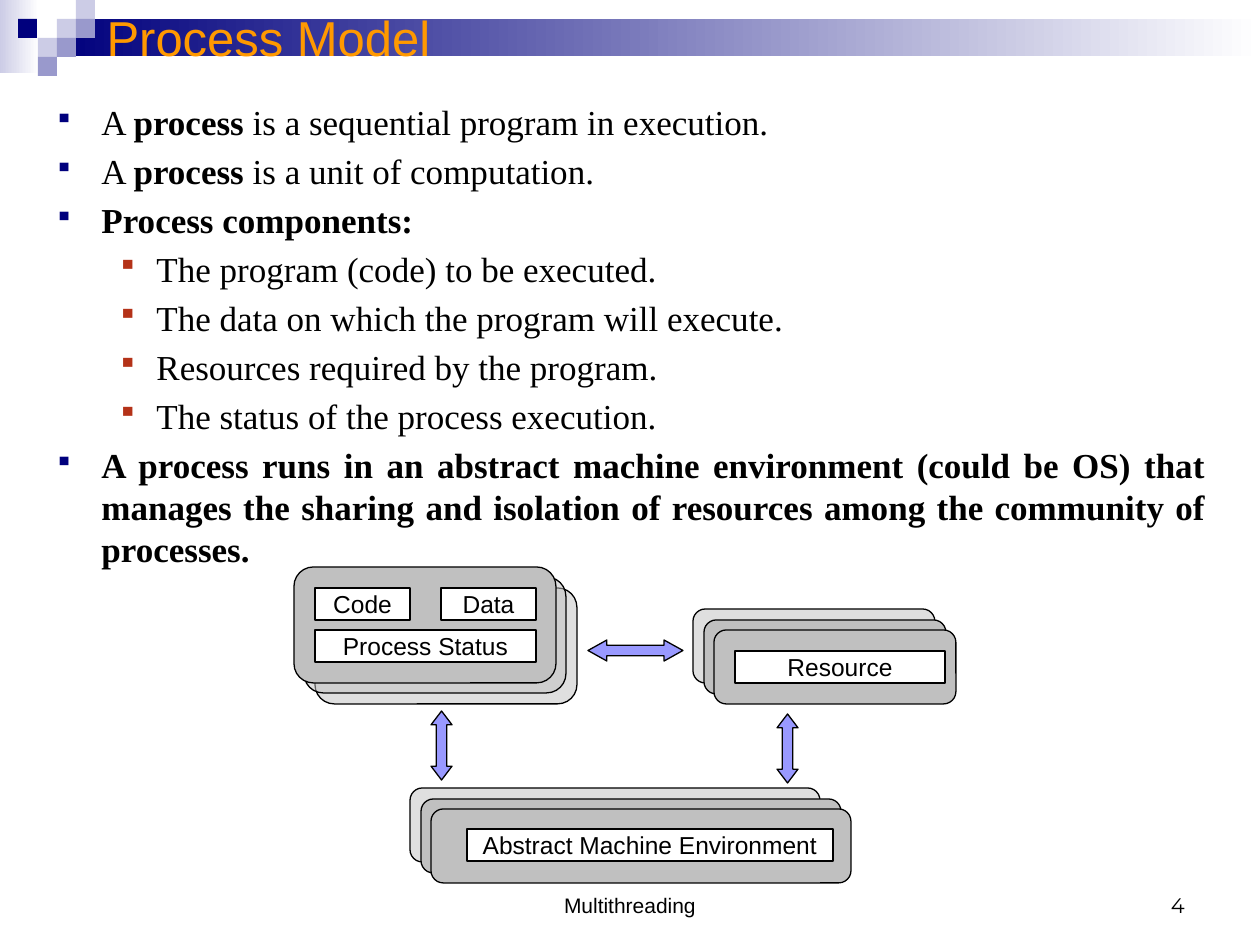
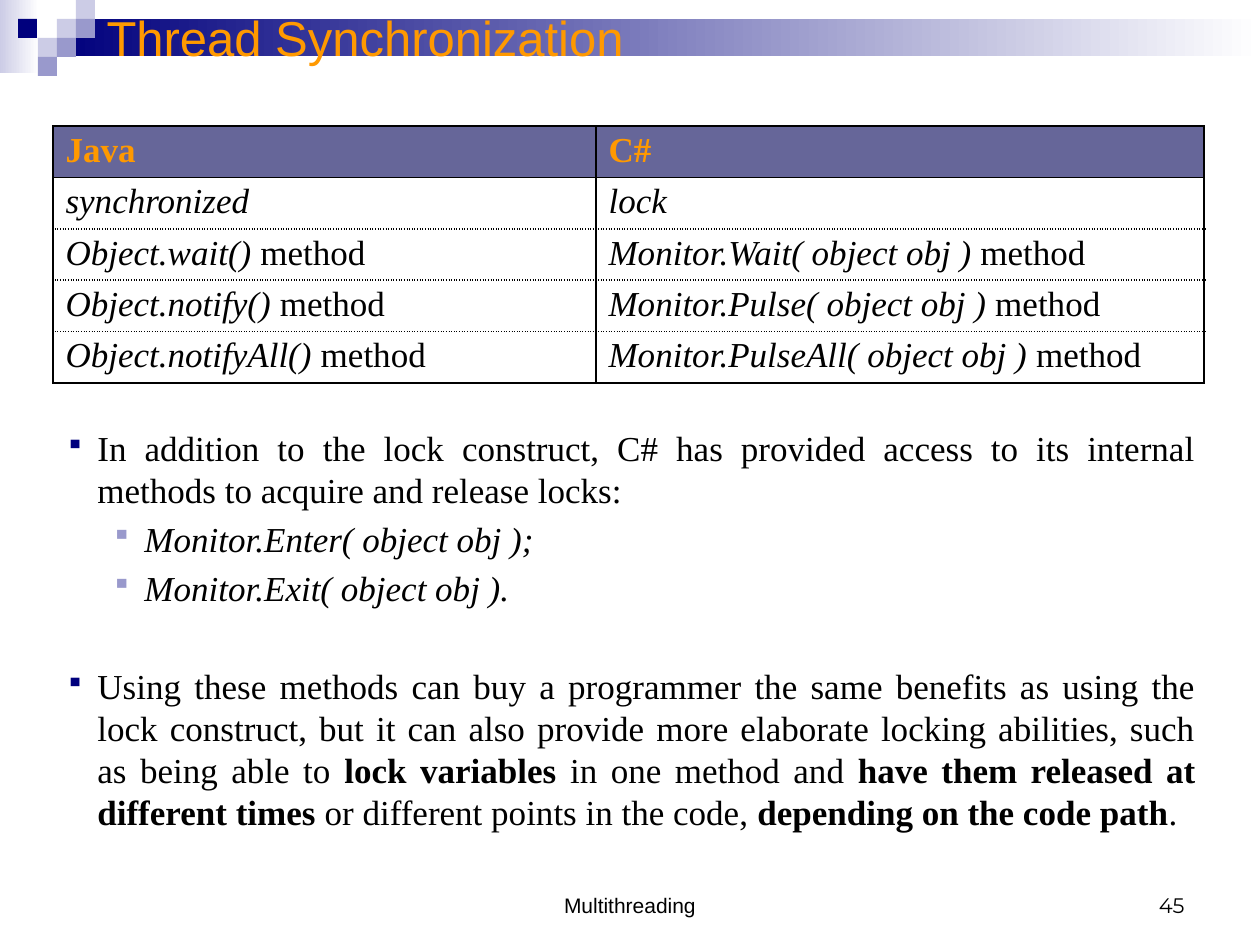
import pptx
import pptx.dml.color
import pptx.enum.dml
import pptx.enum.shapes
import pptx.enum.text
import pptx.oxml.ns
import pptx.util
from lxml import etree

RGB = pptx.dml.color.RGBColor
SHAPE = pptx.enum.shapes.MSO_SHAPE
ALIGN = pptx.enum.text.PP_ALIGN
ANCHOR = pptx.enum.text.MSO_ANCHOR
qn = pptx.oxml.ns.qn

BLACK = RGB(0x00, 0x00, 0x00)
WHITE = RGB(0xFF, 0xFF, 0xFF)
NAVY = RGB(0x00, 0x00, 0x7D)
LILAC = RGB(0x99, 0x99, 0xCC)
PALE = RGB(0xCC, 0xCC, 0xE6)
ORANGE = RGB(0xFF, 0x99, 0x00)
RUST = RGB(0xB4, 0x32, 0x18)
GREY = RGB(0xC0, 0xC0, 0xC0)
ARROW_BLUE = RGB(0x99, 0x99, 0xFF)
HEADER = RGB(0x66, 0x66, 0x99)

SANS, SERIF, NUMBERS = "Arial", "Times New Roman", "Montserrat"
BULLETS = {0: (NAVY, 75), 1: (RUST, 80)}
SQUARES = [(57, 19, PALE), (76, 0, PALE), (76, 19, LILAC), (38, 38, PALE),
           (18, 19, NAVY), (57, 38, LILAC), (38, 57, LILAC)]
BEHIND_RIGHT, BEHIND_LEFT = (21, 10, 0), (-21, -10, 0)


def px(n):
    """Turn pixels at 126 to the inch into EMU."""
    return pptx.util.Emu(round(n * 914400 / 126))


def emu(box):
    """Turn a box in pixels into EMU lengths."""
    return [px(n) for n in box]


def write(p, text, font=SERIF, size=20, color=BLACK, align=ALIGN.LEFT,
          bold=False, mark="bold"):
    """Write text in a paragraph, giving the parts between asterisks the mark style."""
    p.alignment = align
    for i, part in enumerate(text.split("*")):
        if part:
            r = p.add_run()
            r.text = part
            r.font.name, r.font.size = font, pptx.util.Pt(size)
            r.font.color.rgb = color
            r.font.bold, r.font.italic = bold, False
            if i % 2:
                setattr(r.font, mark, True)


def add_text(s, box, text, anchor=ANCHOR.BOTTOM, **fmt):
    """Add a one-paragraph text box."""
    tf = s.shapes.add_textbox(*emu(box)).text_frame
    tf.word_wrap, tf.vertical_anchor = True, anchor
    write(tf.paragraphs[0], text, **fmt)


def add_shape(s, kind, box, fill, outlined=True, adjustments=(), opacity=100):
    """Add a shape with a plain or two-colour fill."""
    sp = s.shapes.add_shape(kind, *emu(box))
    sp.shadow.inherit = False
    for i, value in enumerate(adjustments):
        sp.adjustments[i] = value
    if isinstance(fill, tuple) and not isinstance(fill, RGB):
        sp.fill.gradient()
        sp.fill.gradient_angle = 0
        for stop, color in zip(sp.fill.gradient_stops, fill):
            stop.color.rgb = color
    else:
        sp.fill.solid()
        sp.fill.fore_color.rgb = fill
    if opacity < 100:
        color = sp.element.find(".//" + qn("a:srgbClr"))
        etree.SubElement(color, qn("a:alpha"), val=str(opacity * 1000))
    if outlined:
        sp.line.color.rgb, sp.line.width = BLACK, pptx.util.Pt(0.75)
    else:
        sp.line.fill.background()
    return sp


def add_frame(prs, title, number):
    """Add a slide with its bands, squares, title and footer."""
    s = prs.slides.add_slide(prs.slide_layouts[5])
    add_shape(s, SHAPE.RECTANGLE, (0, 0, 39, 73), (PALE, WHITE), False)
    add_shape(s, SHAPE.RECTANGLE, (57, 19, 1203, 37), (NAVY, WHITE), False)
    for x, y, color in SQUARES:
        add_shape(s, SHAPE.RECTANGLE, (x, y, 19, 19), color, False)
    add_text(s, (430, 861, 400, 63), "Multithreading",
             font=SANS, size=12, align=ALIGN.CENTER)
    add_text(s, (903, 861, 294, 63), number,
             font=NUMBERS, size=12, align=ALIGN.RIGHT)
    sp = s.shapes.title
    sp.left, sp.top, sp.width, sp.height = emu((94, 10, 1071, 53))
    tf = sp.text_frame
    tf.word_wrap, tf.vertical_anchor = True, ANCHOR.MIDDLE
    tf.auto_size = pptx.enum.text.MSO_AUTO_SIZE.NONE
    write(tf.paragraphs[0], title, font=SANS, size=28, color=ORANGE)
    sp.element.getparent().append(sp.element)
    return s


def add_bullets(s, box, items, indents, bullets=BULLETS):
    """Add a justified bullet list of (level, text, mark, space before) items."""
    tf = s.shapes.add_textbox(*emu(box)).text_frame
    tf.word_wrap = True
    for i, (level, text, mark, space) in enumerate(items):
        p = tf.add_paragraph() if i else tf.paragraphs[0]
        p.level = level
        p.line_spacing = pptx.util.Pt(24)
        p.space_before = pptx.util.Pt(space)
        left, hang = indents[level]
        color, percent = bullets[level]
        pPr = p._p.get_or_add_pPr()
        pPr.set("marL", str(px(left)))
        pPr.set("indent", str(px(-hang)))
        tint = etree.SubElement(pPr, qn("a:buClr"))
        etree.SubElement(tint, qn("a:srgbClr"), val=str(color))
        etree.SubElement(pPr, qn("a:buSzPct"), val=str(percent * 1000))
        etree.SubElement(pPr, qn("a:buChar"), char="▪")
        write(p, text, align=ALIGN.JUSTIFY, mark=mark)


def add_stack(s, box, shifts, opacities, narrowing=0):
    """Add three rounded cards, back to front, the front one filling the box."""
    x, y, w, h = box
    for i, (shift, opacity) in enumerate(zip(shifts, opacities)):
        width = w if i else w - narrowing
        add_shape(s, SHAPE.ROUNDED_RECTANGLE, (x + shift, y + shift, width, h),
                  GREY, adjustments=[0.167], opacity=opacity)


def add_label(s, box, text):
    """Add a white label box."""
    tf = add_shape(s, SHAPE.RECTANGLE, box, WHITE).text_frame
    tf.word_wrap, tf.vertical_anchor = False, ANCHOR.MIDDLE
    tf.margin_top = tf.margin_bottom = 0
    write(tf.paragraphs[0], text, font=SANS, size=14, align=ALIGN.CENTER)


def add_process_diagram(s, left, top):
    """Draw processes, resources and their environment from a top left corner."""
    def at(x, y, w, h):
        """Place a box within the diagram."""
        return left + x, top + y, w, h

    add_stack(s, at(0, 0, 262, 116), BEHIND_RIGHT, (50, 50, 100))
    add_stack(s, at(420, 63, 242, 74), BEHIND_LEFT, (50, 100, 100))
    add_stack(s, at(137, 242, 420, 74), BEHIND_LEFT, (50, 100, 100), narrowing=10)
    for box, text in [((21, 21, 95, 32), "Code"),
                      ((147, 21, 95, 32), "Data"),
                      ((21, 63, 221, 32), "Process Status"),
                      ((441, 84, 210, 32), "Resource"),
                      ((173, 262, 366, 32), "Abstract Machine Environment")]:
        add_label(s, at(*box), text)
    for box, head, turn in [((294, 73, 95, 21), 0.9, 0),
                            ((113, 168, 69, 21), 0.658, 90),
                            ((459, 171, 69, 21), 0.658, 90)]:
        sp = add_shape(s, SHAPE.LEFT_RIGHT_ARROW, at(*box), ARROW_BLUE,
                       adjustments=[0.5, head])
        sp.rotation = turn


def add_border(cell, side, dash):
    """Draw one black border of a cell."""
    ln = etree.SubElement(cell._tc.get_or_add_tcPr(), qn("a:ln" + side), w="12700")
    fill = etree.SubElement(ln, qn("a:solidFill"))
    etree.SubElement(fill, qn("a:srgbClr"), val=str(BLACK))
    etree.SubElement(ln, qn("a:prstDash"), val=dash)


def add_comparison(s, box, widths, rows):
    """Add a table with a filled header row and dotted lines between body rows."""
    table = s.shapes.add_table(len(rows), len(widths), *emu(box)).table
    table.horz_banding = False
    for column, width in zip(table.columns, widths):
        column.width = px(width)
    last = len(rows) - 1
    for i, row in enumerate(rows):
        for j, text in enumerate(row):
            cell = table.cell(i, j)
            cell.margin_top = cell.margin_bottom = px(5)
            for side in "LR":
                add_border(cell, side, "solid")
            add_border(cell, "T", "sysDot" if i > 1 else "solid")
            add_border(cell, "B", "sysDot" if 0 < i < last else "solid")
            if i:
                cell.fill.background()
            else:
                cell.fill.solid()
                cell.fill.fore_color.rgb = HEADER
            write(cell.text_frame.paragraphs[0], text, bold=not i,
                  color=BLACK if i else ORANGE, mark="italic")


def add_process_model(prs):
    """Build the process model slide."""
    s = add_frame(prs, "Process Model", "4")
    lines = [
        (0, "A *process* is a sequential program in execution."),
        (0, "A *process* is a unit of computation."),
        (0, "*Process components:*"),
        (1, "The program (code) to be executed."),
        (1, "The data on which the program will execute."),
        (1, "Resources required by the program."),
        (1, "The status of the process execution."),
        (0, "*A process runs in an abstract machine environment (could be OS) that "
            "manages the sharing and isolation of resources among the community of "
            "processes.*"),
    ]
    items = [(level, text, "bold", 4 if i else 0)
             for i, (level, text) in enumerate(lines)]
    add_bullets(s, (42, 94, 1176, 494), items, [(47, 47), (102, 39)])
    add_process_diagram(s, 294, 567)


def add_thread_synchronization(prs):
    """Build the thread synchronization slide."""
    s = add_frame(prs, "Thread Synchronization", "45")
    add_comparison(s, (53, 126, 1151, 257), (543, 608), [
        ("Java", "C#"),
        ("*synchronized*", "*lock*"),
        ("*Object.wait()* method", "*Monitor.Wait( object obj )* method"),
        ("*Object.notify()* method", "*Monitor.Pulse( object obj )* method"),
        ("*Object.notifyAll()* method", "*Monitor.PulseAll( object obj )* method"),
    ])
    add_bullets(s, (53, 420, 1155, 441), [
        (0, "In addition to the lock construct, C# has provided access to its "
            "internal methods to acquire and release locks:", "bold", 0),
        (1, "*Monitor.Enter( object obj );*", "italic", 4),
        (1, "*Monitor.Exit( object obj ).*", "italic", 4),
        (0, "Using these methods can buy a programmer the same benefits as using the "
            "lock construct, but it can also provide more elaborate locking abilities, "
            "such as being able to *lock variables* in one method and *have them "
            "released at different times* or different points in the code, "
            "*depending on the code path*.", "bold", 32),
    ], [(32, 32), (79, 33)], {**BULLETS, 1: (LILAC, 80)})


def main():
    """Build the presentation and save it."""
    prs = pptx.Presentation()
    prs.slide_width, prs.slide_height = px(1260), px(945)
    add_process_model(prs)
    add_thread_synchronization(prs)
    prs.save("out.pptx")


if __name__ == "__main__":
    main()
